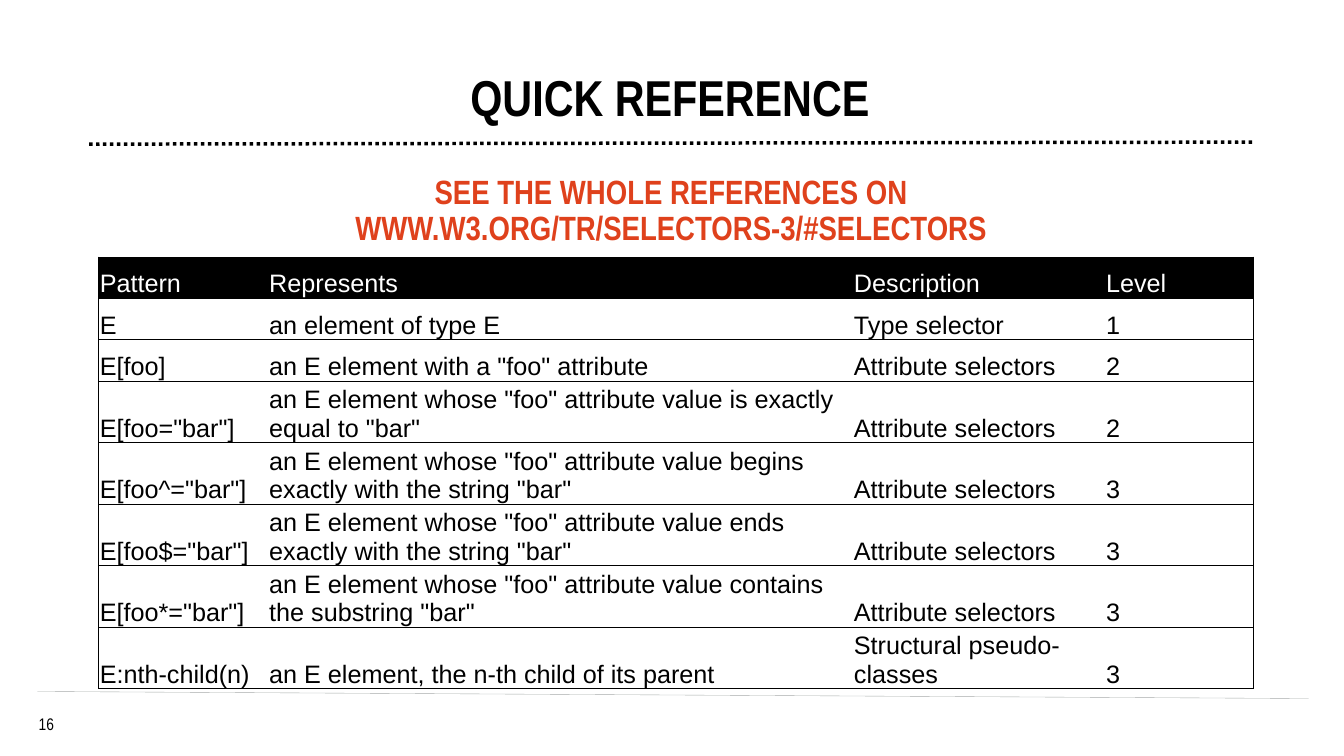
from lxml.etree import SubElement
from pptx import Presentation
from pptx.dml.color import RGBColor
from pptx.enum.dml import MSO_LINE
from pptx.enum.shapes import MSO_CONNECTOR
from pptx.enum.text import MSO_ANCHOR, PP_ALIGN
from pptx.oxml.ns import qn
from pptx.util import Inches, Pt

BLACK = RGBColor(0x00, 0x00, 0x00)
WHITE = RGBColor(0xFF, 0xFF, 0xFF)
GREY = RGBColor(0xA6, 0xAA, 0xA9)
ORANGE = RGBColor(0xDF, 0x41, 0x1C)

ATTRIBUTE = "Attribute selectors"
SELECTORS = [
    ("Pattern", "Represents", "Description", "Level"),
    ("E", "an element of type E", "Type selector", "1"),
    ("E[foo]", 'an E element with a "foo" attribute', ATTRIBUTE, "2"),
    ('E[foo="bar"]', 'an E element whose "foo" attribute value is exactly equal to "bar"',
     ATTRIBUTE, "2"),
    ('E[foo^="bar"]', 'an E element whose "foo" attribute value begins exactly with the string "bar"',
     ATTRIBUTE, "3"),
    ('E[foo$="bar"]', 'an E element whose "foo" attribute value ends exactly with the string "bar"',
     ATTRIBUTE, "3"),
    ('E[foo*="bar"]', 'an E element whose "foo" attribute value contains the substring "bar"',
     ATTRIBUTE, "3"),
    ("E:nth-child(n)", "an E element, the n-th child of its parent",
     "Structural pseudo-classes", "3"),
]
COLUMN_WIDTHS = (1.68, 5.8, 2.5, 1.47)
ROW_HEIGHT = 0.41


class ReferencePage:
    heading_font = "Arial Narrow"
    table_font = "Arial"

    def __init__(self, deck):
        self.page = deck.slides.add_slide(deck.slide_layouts[6])

    def span(self, para, text, font, size, color, bold=False):
        run = para.add_run()
        run.text = text
        run.font.name = font
        run.font.size = Pt(size)
        run.font.bold = bold
        run.font.color.rgb = color

    def text(self, area, lines, size, color, bold=False, spacing=1.0,
             anchor=MSO_ANCHOR.BOTTOM, insets=(0, 0.05, 0.1, 0.05)):
        """Add a centred text box whose lines share one paragraph."""
        frame = self.page.shapes.add_textbox(*map(Inches, area)).text_frame
        frame.word_wrap = True
        frame.vertical_anchor = anchor
        (frame.margin_left, frame.margin_top,
         frame.margin_right, frame.margin_bottom) = map(Inches, insets)
        para = frame.paragraphs[0]
        para.alignment = PP_ALIGN.CENTER
        para.line_spacing = spacing
        for index, line in enumerate(lines):
            if index:
                para.add_line_break()
            self.span(para, line, self.heading_font, size, color, bold)

    def rule(self, start, end, color, width, dash=None):
        line = self.page.shapes.add_connector(
            MSO_CONNECTOR.STRAIGHT, *map(Inches, start + end))
        line.line.color.rgb = color
        line.line.width = Pt(width)
        if dash:
            line.line.dash_style = dash
        SubElement(line._element.spPr, qn("a:effectLst"))

    def borders(self, cell, shown):
        """Draw thin black lines on the shown sides, and none on the others."""
        properties = cell._tc.get_or_add_tcPr()
        for side in "LRTB":
            edge = SubElement(properties, qn(f"a:ln{side}"), w=str(Pt(0.5)))
            if side in shown:
                fill = SubElement(edge, qn("a:solidFill"))
                SubElement(fill, qn("a:srgbClr"), val=str(BLACK))
            else:
                SubElement(edge, qn("a:noFill"))

    def table(self, left, top, widths, row_height, rows):
        table = self.page.shapes.add_table(
            len(rows), len(widths), Inches(left), Inches(top),
            Inches(sum(widths)), Inches(row_height * len(rows))).table
        table.horz_banding = False
        for column, width in zip(table.columns, widths):
            column.width = Inches(width)
        sides = ["LTB"] + ["TB"] * (len(widths) - 2) + ["RTB"]
        for row_index, (row, values) in enumerate(zip(table.rows, rows)):
            row.height = Inches(row_height)
            fill, ink = (WHITE, BLACK) if row_index else (BLACK, WHITE)
            for cell, value, shown in zip(row.cells, values, sides):
                cell.vertical_anchor = MSO_ANCHOR.BOTTOM
                cell.margin_left = cell.margin_right = cell.margin_top = Inches(0.01)
                cell.margin_bottom = 0
                self.borders(cell, shown)
                cell.fill.solid()
                cell.fill.fore_color.rgb = fill
                self.span(cell.text_frame.paragraphs[0], value, self.table_font, 18, ink)


def main():
    deck = Presentation()
    deck.slide_width = Inches(13.33)
    deck.slide_height = Inches(7.5)
    page = ReferencePage(deck)
    page.text((0.22, 7.08, 0.48, 0.2), ["16"], 12, BLACK,
              anchor=MSO_ANCHOR.TOP, insets=(0, 0, 0, 0))
    page.rule((0.37, 6.86), (12.98, 6.93), GREY, 0.25)
    page.rule((12.42, 1.41), (0.88, 1.43), BLACK, 2.5, MSO_LINE.ROUND_DOT)
    page.text((1.32, 0.17, 10.75, 1.12), ["QUICK REFERENCE"], 36, BLACK,
              bold=True, spacing=0.7)
    page.text((1.33, 1.68, 10.75, 0.83),
              ["SEE THE WHOLE REFERENCES ON", "WWW.W3.ORG/TR/SELECTORS-3/#SELECTORS"],
              24, ORANGE, bold=True, spacing=0.9)
    page.table(0.98, 2.55, COLUMN_WIDTHS, ROW_HEIGHT, SELECTORS)
    deck.save("out.pptx")


if __name__ == "__main__":
    main()
